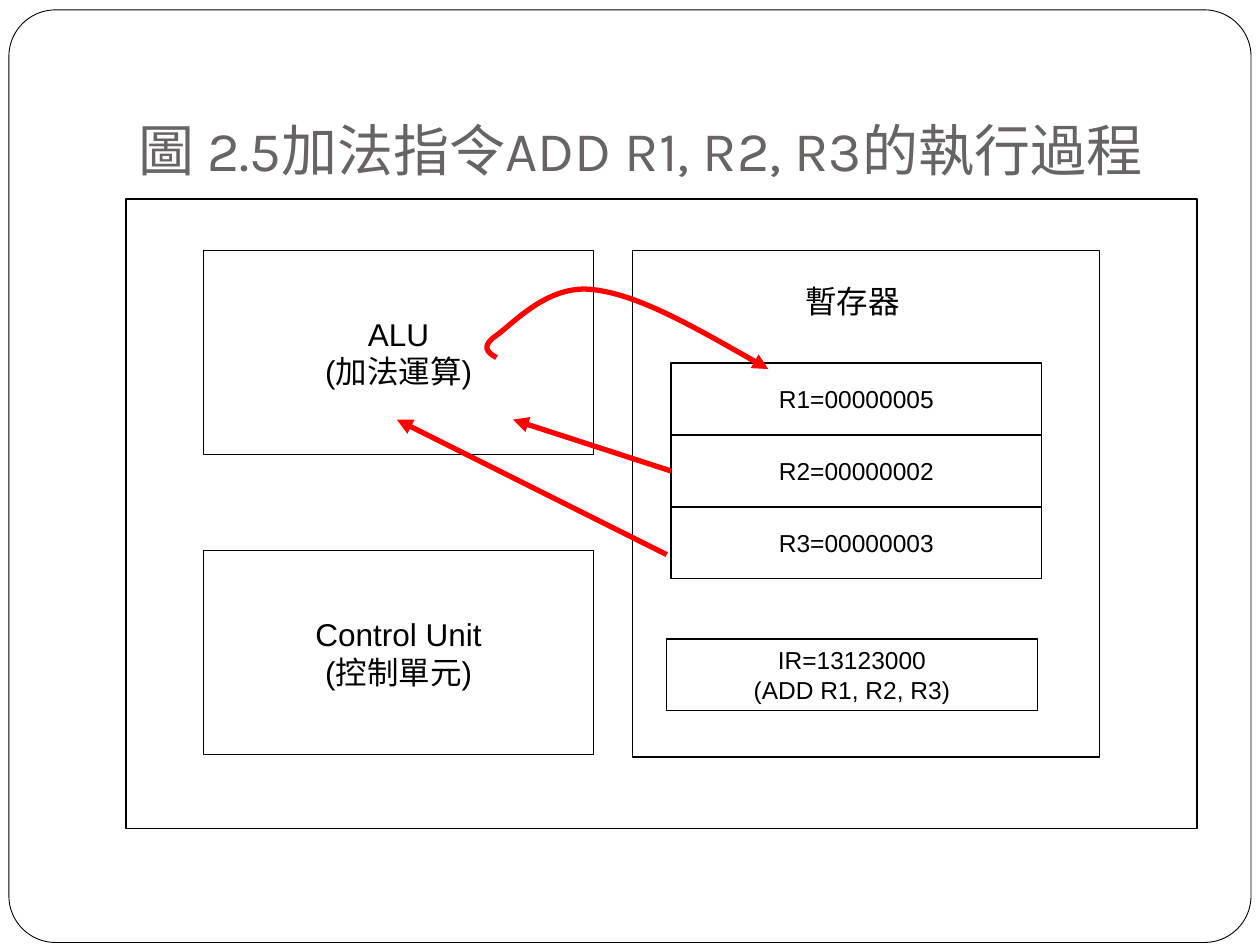
from dataclasses import dataclass

import pptx
import pptx.dml.color
import pptx.enum.shapes
import pptx.enum.text
import pptx.oxml
import pptx.oxml.ns
import pptx.util
from lxml import etree

Cm, Pt = pptx.util.Cm, pptx.util.Pt
RGB = pptx.dml.color.RGBColor
SHAPE = pptx.enum.shapes.MSO_SHAPE
ALIGN = pptx.enum.text.PP_ALIGN
ANCHOR = pptx.enum.text.MSO_ANCHOR
qn = pptx.oxml.ns.qn


@dataclass(frozen=True)
class Theme:
    ink: RGB = RGB(0x00, 0x00, 0x00)
    paper: RGB = RGB(0xFF, 0xFF, 0xFF)
    title: RGB = RGB(0x69, 0x64, 0x64)
    arrow: RGB = RGB(0xFF, 0x00, 0x00)
    title_font: str = "Karla"
    body_font: str = "Arial"
    title_size: float = 32
    unit_size: float = 18
    register_size: float = 14
    frame_width: float = 0.5
    box_width: float = 0.75
    arrow_width: float = 3


THEME = Theme()


@dataclass(frozen=True)
class Box:
    """A rectangle, measured in centimetres."""
    left: float
    top: float
    width: float
    height: float
    text: str = ""
    size: float = THEME.register_size

    @property
    def place(self) -> tuple:
        return Cm(self.left), Cm(self.top), Cm(self.width), Cm(self.height)


UNIT_W, UNIT_H = 7.85, 4.11
REG_W, REG_H = 7.47, 1.45
REG_LEFT, REG_TOP = 13.53, 7.32

PROCESSOR = Box(2.54, 4.01, 21.59, 12.7)
UNITS = [
    Box(4.11, 5.05, UNIT_W, UNIT_H, "ALU\n(加法運算)", THEME.unit_size),
    Box(4.11, 11.1, UNIT_W, UNIT_H, "Control Unit\n(控制單元)", THEME.unit_size),
]
REGISTER_FILE = Box(12.75, 5.05, 9.42, 10.21)
REGISTERS = [
    Box(REG_LEFT, REG_TOP + i * REG_H, REG_W, REG_H, text)
    for i, text in enumerate(["R1=00000005", "R2=00000002", "R3=00000003"])
]
INSTRUCTION = Box(13.44, 12.88, REG_W, REG_H, "IR=13123000\n(ADD R1, R2, R3)")
REGISTER_LABEL = Box(14.3, 5.56, 5.77, 1.02, "暫存器", THEME.unit_size)

# Start point, then two control points and an end point for each curve segment
RESULT_PATH = [
    (10.01, 7.21),
    (9.83, 7.11), (9.68, 6.99), (10.01, 6.76),
    (10.34, 6.53), (11.05, 5.72), (11.96, 5.84),
    (12.88, 5.94), (14.2, 6.71), (15.49, 7.44),
]


def style_text(tf, size: float, font: str, color: RGB, align) -> None:
    for p in tf.paragraphs:
        p.alignment = align
        for r in p.runs:
            r.font.size = Pt(size)
            r.font.name = font
            r.font.color.rgb = color


def add_body_text(sp, box: Box) -> None:
    sp.text_frame.text = box.text
    style_text(sp.text_frame, box.size, THEME.body_font, THEME.ink, ALIGN.CENTER)


def add_box(shapes, box: Box):
    sp = shapes.add_shape(SHAPE.RECTANGLE, *box.place)
    sp.shadow.inherit = False
    sp.fill.background()
    sp.line.color.rgb = THEME.ink
    sp.line.width = Pt(THEME.box_width)
    if box.text:
        sp.text_frame.word_wrap = False
        sp.text_frame.vertical_anchor = ANCHOR.MIDDLE
        add_body_text(sp, box)
    return sp


def style_arrow(line) -> None:
    line.color.rgb = THEME.arrow
    line.width = Pt(THEME.arrow_width)
    etree.SubElement(line._get_or_add_ln(), qn("a:tailEnd"), type="triangle")


def add_arrow(shapes, start: tuple, end: tuple):
    cxn = shapes.add_connector(
        pptx.enum.shapes.MSO_CONNECTOR.STRAIGHT, *map(Cm, start + end))
    style_arrow(cxn.line)
    etree.SubElement(cxn._element.spPr, qn("a:effectLst"))
    return cxn


def add_curved_arrow(shapes, points: list) -> None:
    """Outline the control points, then turn each three lines into a Bézier."""
    start, *rest = [(Cm(x), Cm(y)) for x, y in points]
    builder = shapes.build_freeform(*start)
    builder.add_line_segments(rest, close=False)
    sp = builder.convert_to_shape()
    sp.shadow.inherit = False
    sp.fill.background()
    style_arrow(sp.line)
    lines = list(sp._element.iter(qn("a:lnTo")))
    for i in range(0, len(lines), 3):
        curve = etree.SubElement(lines[i].getparent(), qn("a:cubicBezTo"))
        for line in lines[i:i + 3]:
            curve.append(line[0])
            line.getparent().remove(line)


def add_frame(slide) -> None:
    sp = slide.shapes.add_shape(
        SHAPE.ROUNDED_RECTANGLE, Cm(0.18), Cm(0.2), Cm(25.04), Cm(18.8))
    sp.adjustments[0] = 0.05
    sp.shadow.inherit = False
    sp.fill.solid()
    sp.fill.fore_color.rgb = THEME.paper
    sp.line.color.rgb = THEME.ink
    sp.line.width = Pt(THEME.frame_width)
    slide.shapes._spTree.insert(2, sp._element)


def set_title(slide, text: str) -> None:
    title = slide.shapes.title
    title.left, title.top, title.width, title.height = (
        Cm(2.54), Cm(0.76), Cm(21.59), Cm(3.18))
    tf = title.text_frame
    tf.text = text
    tf.word_wrap = True
    tf.auto_size = pptx.enum.text.MSO_AUTO_SIZE.NONE
    tf.vertical_anchor = ANCHOR.BOTTOM
    tf.margin_bottom = Cm(0.25)
    style_text(tf, THEME.title_size, THEME.title_font, THEME.title, ALIGN.LEFT)


def add_diagram(slide) -> None:
    shapes = slide.shapes.add_group_shape().shapes
    for box in [PROCESSOR, *UNITS, REGISTER_FILE, INSTRUCTION]:
        add_box(shapes, box)
    _, r2, _ = [add_box(shapes, box) for box in REGISTERS]

    add_arrow(shapes, (13.44, 11.18), (8.0, 8.46))
    operand = add_arrow(shapes, (13.44, 9.47), (10.34, 8.46))
    operand.begin_connect(r2, 1)
    add_curved_arrow(shapes, RESULT_PATH)

    label = shapes.add_textbox(*REGISTER_LABEL.place)
    label.text_frame.word_wrap = True
    add_body_text(label, REGISTER_LABEL)


def main() -> None:
    prs = pptx.Presentation()
    prs.slide_width, prs.slide_height = Cm(25.4), Cm(19.05)
    slide = prs.slides.add_slide(prs.slide_layouts[5])
    add_frame(slide)
    set_title(slide, "圖 2.5加法指令ADD R1, R2, R3的執行過程")
    add_diagram(slide)
    prs.save("out.pptx")


if __name__ == "__main__":
    main()
